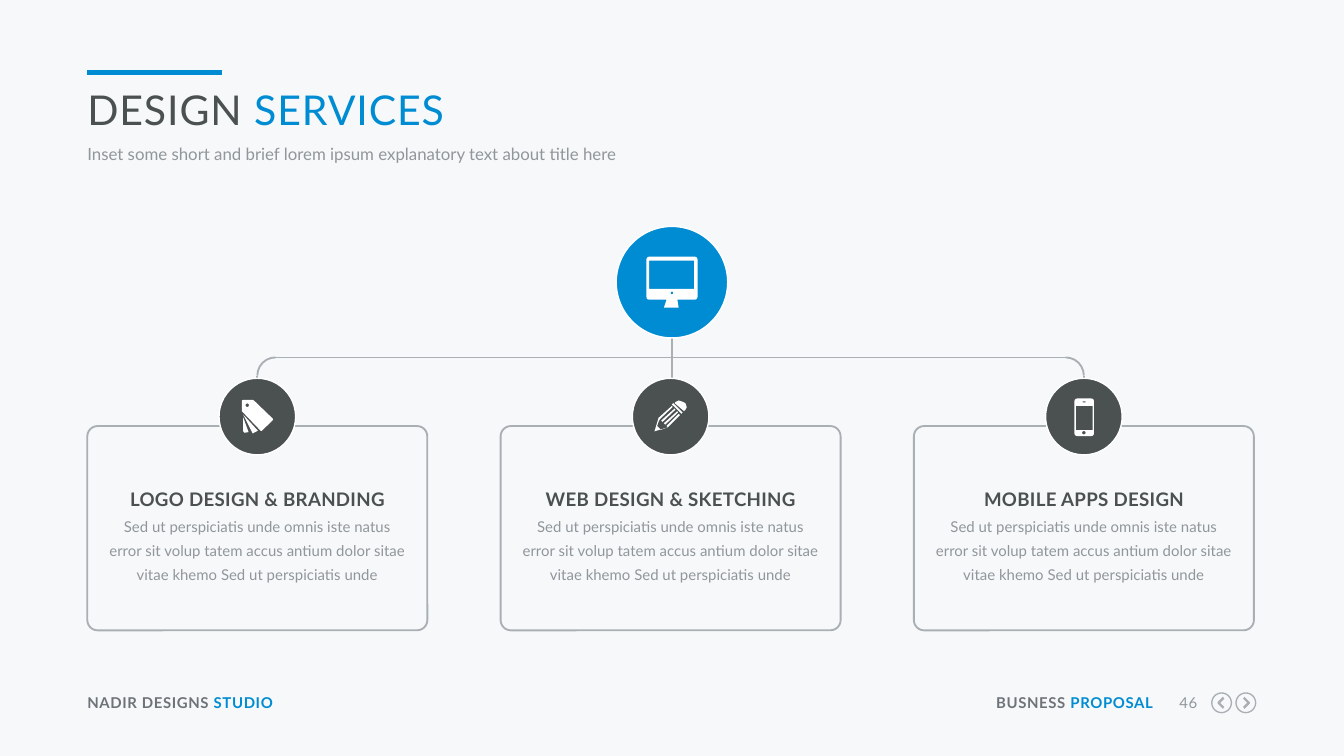
from dataclasses import dataclass
from math import cos, pi, sin

from pptx import Presentation
from pptx.dml.color import RGBColor
from pptx.enum.shapes import MSO_CONNECTOR, MSO_SHAPE
from pptx.enum.text import MSO_ANCHOR, MSO_AUTO_SIZE, PP_ALIGN
from pptx.oxml.ns import qn
from pptx.util import Inches, Pt


@dataclass(frozen=True)
class Theme:
    font: str = "Lato"
    back: str = "F6F8FA"
    accent: str = "008CD2"
    dark: str = "4B5050"
    footer: str = "6E7378"
    muted: str = "91969B"
    line: str = "AAAFB4"
    white: str = "FFFFFF"
    title_size: int = 22
    heading_size: int = 10
    subtitle_size: int = 9
    small_size: int = 8


T = Theme()

# Grid: three equal cards between the margins
WIDTH, HEIGHT = 10, 10 * 9 / 16
LEFT, RIGHT = 0.65, 9.33
CARD_W, CARD_H, CARD_TOP = 2.53, 1.52, 3.17
PITCH = (RIGHT - LEFT - CARD_W) / 2
MIDDLE = WIDTH / 2
BADGE_Y, BADGE_D = 3.1, 0.57
HUB_Y, HUB_D = 2.1, 0.83
TREE_Y, BEND_D = 2.66, 0.27
FOOTER_Y = 5.16

BODY = ("Sed ut perspiciatis unde omnis iste natus error sit volup tatem accus "
        "antium dolor sitae vitae khemo Sed ut perspiciatis unde")


# Outlines, in hundredths of an inch around the centre of an icon
def disc(x, y, r, n=32):
    return [(x + r * cos(2 * pi * k / n), y + r * sin(2 * pi * k / n)) for k in range(n)]


def panel(left, top, right, bottom, r=0):
    corners = [(right - r, bottom - r), (left + r, bottom - r),
               (left + r, top + r), (right - r, top + r)]
    return [(x + r * cos((q + k / 3) * pi / 2), y + r * sin((q + k / 3) * pi / 2))
            for q, (x, y) in enumerate(corners) for k in range(4)]


def arrow_button(way):
    chevron = [(-2, -3), (1, 0), (-2, 3), (-1, 4.5), (3, 0.5), (3, -0.5), (-1, -4.5)]
    return [disc(0, 0, 7.8), disc(0, 0, 6.8), [(way * x, y) for x, y in chevron]]


MONITOR = [panel(-19, -19, 19, 13, 2), panel(-17, -16, 16.5, 5), disc(0, 8, 1),
           [(-4, 13), (4, 13), (5, 19), (-6, 19)]]
TAGS = [[(-11.5, -4), (-11.5, -12), (-10.5, -12.5), (-3.5, -12.5), (-2.5, -12),
         (11.5, 1.5), (11.5, 2.5), (3.5, 10.5), (2.5, 10.5)],
        disc(-7.5, -8.5, 1.3),
        [(-10.5, -1.5), (0.5, 10.5), (-3.5, 12.5)],
        [(-10.5, 0.5), (-6.5, 11.5), (-9.5, 12), (-10.5, 11)]]
PENCIL = [[(-12, 11), (-9, 1), (1, -8), (1.5, -7), (-8, 2), (-9, 4), (-10, 7),
           (-8, 9), (-7.5, 10), (-2, 8), (-3, 7), (6, -2), (7, -1), (-2, 8)],
          [(-7, 3), (3, -6), (3.5, -5), (-6, 4)],
          [(-5, 5), (5, -4), (5.5, -3), (-4, 6)],
          [(1, -9), (2, -10), (9, -3), (8, -2)],
          [(3, -10), (4, -11), (6, -12), (9, -11), (11, -10), (12, -7), (11, -5), (10, -4)]]
PHONE = [panel(-7, -13.5, 7.5, 14.5, 2), panel(-6, -8, 6.5, 10),
         disc(0, 12, 1.3), panel(-1, -11.3, 1.3, -10.6)]

SERVICES = [("LOGO DESIGN & BRANDING", TAGS),
            ("WEB DESIGN & SKETCHING", PENCIL),
            ("MOBILE APPS DESIGN", PHONE)]


def rgb(color):
    return RGBColor.from_string(color)


def style_shape(sp, fill=None, line=None, width=1):
    sp.shadow.inherit = False
    if fill:
        sp.fill.solid()
        sp.fill.fore_color.rgb = rgb(fill)
    else:
        sp.fill.background()
    if line:
        sp.line.color.rgb = rgb(line)
        sp.line.width = Pt(width)
    else:
        sp.line.fill.background()


def add_shape(s, kind, x, y, w, h, **style):
    sp = s.shapes.add_shape(kind, Inches(x), Inches(y), Inches(w), Inches(h))
    style_shape(sp, **style)
    return sp


def add_line(s, x1, y1, x2, y2, color=T.line, width=1):
    c = s.shapes.add_connector(MSO_CONNECTOR.STRAIGHT, *map(Inches, (x1, y1, x2, y2)))
    c.line.color.rgb = rgb(color)
    c.line.width = Pt(width)
    sp_pr = c._element.spPr
    sp_pr.append(sp_pr.makeelement(qn("a:effectLst"), {}))


def add_icon(s, x, y, outlines, fill=T.white):
    points = [[(Inches(px / 100), Inches(py / 100)) for px, py in o] for o in outlines]
    builder = s.shapes.build_freeform(*points[0][0], scale=1.0)
    for i, outline in enumerate(points):
        if i:
            builder.move_to(*outline[0])
        builder.add_line_segments(outline[1:], close=True)
    style_shape(builder.convert_to_shape(Inches(x), Inches(y)), fill=fill)


def add_badge(s, x, y, d, fill, icon):
    add_shape(s, MSO_SHAPE.OVAL, x - d / 2, y - d / 2, d, d,
              fill=fill, line=T.white, width=0.75)
    add_icon(s, x, y, icon)


def set_text(sp, parts, size, bold=False, spacing=0, align=PP_ALIGN.LEFT,
             leading=None, after=0):
    """Fill a text shape with one paragraph of (text, color) parts."""
    tf = sp.text_frame
    tf.word_wrap = True
    tf.auto_size = MSO_AUTO_SIZE.NONE
    tf.vertical_anchor = MSO_ANCHOR.TOP
    tf.margin_left = tf.margin_right = tf.margin_top = tf.margin_bottom = 0
    p = tf.paragraphs[0]
    p.alignment = align
    p.space_before, p.space_after = Pt(0), Pt(after)
    if leading:
        p.line_spacing = Pt(leading)
    for text, color in parts:
        r = p.add_run()
        r.text = text
        r.font.name, r.font.size, r.font.bold = T.font, Pt(size), bold
        r.font.color.rgb = rgb(color)
        r._r.get_or_add_rPr().set("spc", str(round(spacing * 100)))


def add_text(s, x, y, w, h, parts, size, **style):
    set_text(s.shapes.add_textbox(*map(Inches, (x, y, w, h))), parts, size, **style)


def place(sp, x, y, w, h):
    sp.left, sp.top, sp.width, sp.height = map(Inches, (x, y, w, h))


def add_header(s):
    add_line(s, LEFT, 0.54, LEFT + 1, 0.54, T.accent, 2.25)
    title, subtitle = s.shapes.title, s.placeholders[1]
    place(title, LEFT, 0.63, 8.7, 0.42)
    set_text(title, [("DESIGN", T.dark), (" SERVICES", T.accent)], T.title_size, spacing=0.5)
    place(subtitle, LEFT, 1.05, 8.7, 0.15)
    set_text(subtitle, [("Inset some short and brief lorem ipsum explanatory text about "
                         "title here", T.muted)], T.subtitle_size, leading=12)
    # The subtitle carries no bullet or indent
    p_pr = subtitle.text_frame.paragraphs[0]._p.get_or_add_pPr()
    p_pr.set("marL", "0")
    p_pr.set("indent", "0")
    p_pr.append(p_pr.makeelement(qn("a:buNone"), {}))


def add_tree(s, centers):
    first, last = centers[0], centers[-1]
    bend = BEND_D / 2
    add_line(s, first + bend, TREE_Y, last - bend, TREE_Y)
    add_line(s, MIDDLE, HUB_Y + HUB_D / 2, MIDDLE, BADGE_Y - BADGE_D / 2)
    for x, left in ((first, first), (last, last - BEND_D)):
        arc = add_shape(s, MSO_SHAPE.ARC, left, TREE_Y, BEND_D, BEND_D, line=T.line)
        if x == first:
            arc._element.spPr.find(qn("a:xfrm")).set("flipH", "1")
        add_line(s, x, TREE_Y + bend, x, 2.85)


def add_card(s, center, heading, icon):
    card = add_shape(s, MSO_SHAPE.ROUNDED_RECTANGLE, center - CARD_W / 2, CARD_TOP,
                     CARD_W, CARD_H, line=T.line)
    card.adjustments[0] = 0.05
    add_badge(s, center, BADGE_Y, BADGE_D, T.dark, icon)
    text_w = 2.22
    x = center - text_w / 2
    add_text(s, x, 3.56, text_w, 0.21, [(heading, T.dark)], T.heading_size, bold=True,
             spacing=0.2, align=PP_ALIGN.CENTER, leading=17, after=6)
    add_text(s, x, 3.8, text_w, 0.55, [(BODY, T.muted)], T.small_size,
             align=PP_ALIGN.CENTER, leading=13, after=6)


def add_footer(s):
    add_text(s, LEFT, FOOTER_Y, 1.95, 0.13, [("NADIR DESIGNS ", T.footer), ("STUDIO", T.accent)],
             T.small_size, bold=True, spacing=0.3)
    add_text(s, 7.31, FOOTER_Y, 1.27, 0.13, [("BUSNESS ", T.footer), ("PROPOSAL", T.accent)],
             T.small_size, bold=True, spacing=0.3, align=PP_ALIGN.RIGHT)
    add_text(s, 8.68, FOOTER_Y, 0.23, 0.13, [("46", T.muted)], T.small_size,
             spacing=0.3, align=PP_ALIGN.RIGHT)
    for x, way in ((9.09, -1), (9.27, 1)):
        add_icon(s, x, 5.23, arrow_button(way), T.line)


def main():
    prs = Presentation()
    prs.slide_width, prs.slide_height = Inches(WIDTH), Inches(HEIGHT)
    s = prs.slides.add_slide(prs.slide_layouts[1])
    s.background.fill.solid()
    s.background.fill.fore_color.rgb = rgb(T.back)
    centers = [LEFT + CARD_W / 2 + i * PITCH for i in range(len(SERVICES))]
    add_header(s)
    add_tree(s, centers)
    for center, (heading, icon) in zip(centers, SERVICES):
        add_card(s, center, heading, icon)
    add_badge(s, MIDDLE, HUB_Y, HUB_D, T.accent, MONITOR)
    add_footer(s)
    prs.save("out.pptx")


if __name__ == "__main__":
    main()
